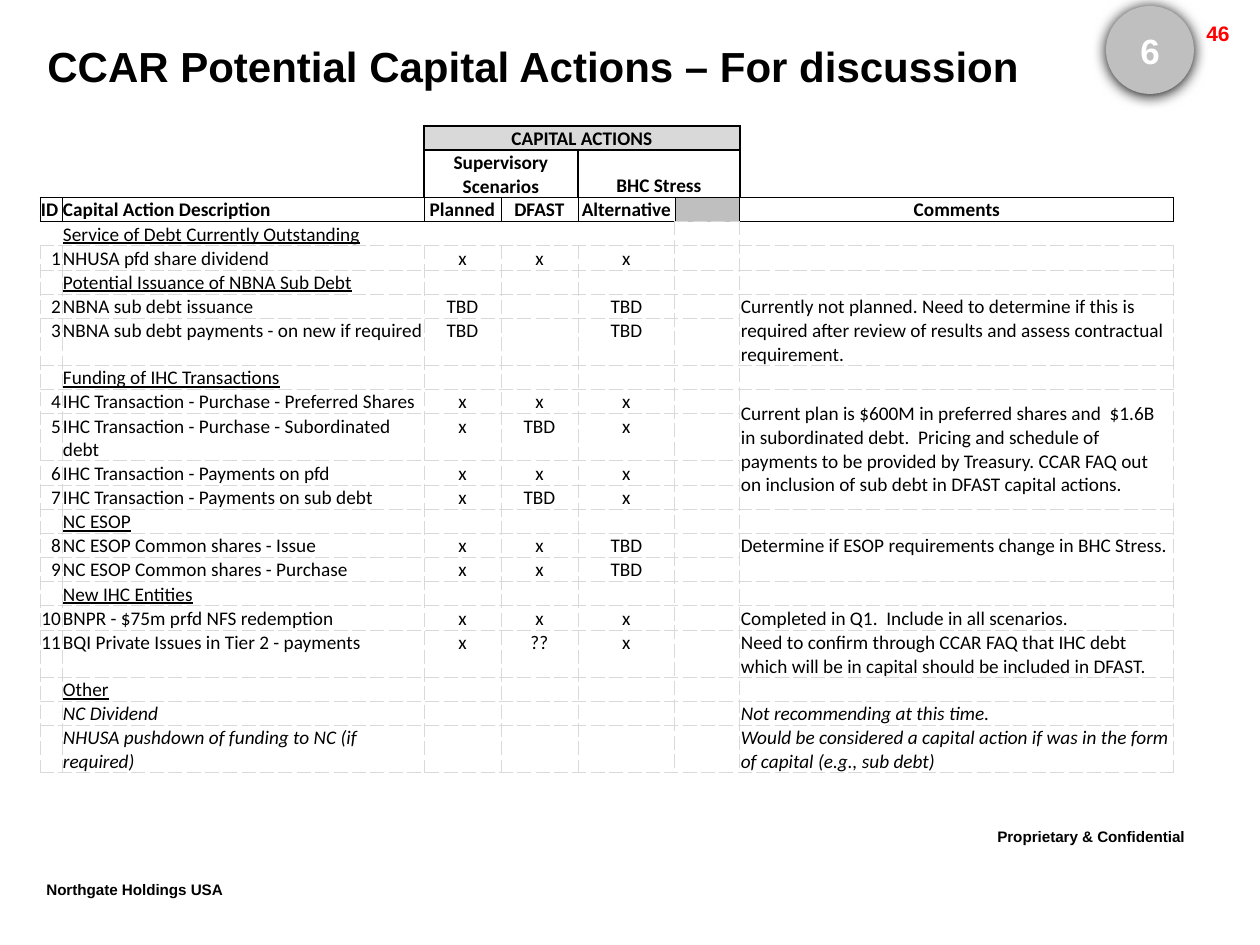
from dataclasses import dataclass

from lxml.etree import SubElement
from pptx import Presentation
from pptx.dml.color import RGBColor
from pptx.enum.shapes import MSO_SHAPE
from pptx.enum.text import MSO_ANCHOR, PP_ALIGN
from pptx.oxml import parse_xml
from pptx.oxml.ns import nsdecls, qn
from pptx.util import Emu, Pt


@dataclass(frozen=True)
class Theme:
    heading_font: str = "Arial"
    table_font: str = "Calibri"
    black: str = "000000"
    white: str = "FFFFFF"
    red: str = "FF0000"
    grey: str = "BFBFBF"
    light_grey: str = "D9D9D9"
    title_size: int = 24
    badge_size: int = 20
    footer_size: int = 15
    page_size: int = 12
    table_size: int = 11


THEME = Theme()
EMU_PER_PX = 914400 / 126

# Border styles: colour, width in points, dash
HEAVY = (THEME.black, 1, "solid")
THIN = (THEME.black, 0.5, "solid")
DASHED = (THEME.light_grey, 0.5, "dash")

NO_STYLE_NO_GRID = "{2D5ABB26-0587-4C30-8999-92F81FD0307C}"
COLUMN_WIDTHS = (22, 362, 77, 77, 97, 65, 434)
ROW_HEIGHT, TALL_ROW_HEIGHT = 24, 47
TALL_ROWS = (1, 7, 10, 18, 21)
FIRST_BODY_ROW = 3
FIRST_ITALIC_ROW = 20
COMMENT_COLUMN = 6
MERGES = ((0, 2, 0, 5), (1, 2, 1, 3), (1, 4, 1, 5),
          (6, 6, 7, 6), (9, 6, 12, 6), (14, 6, 15, 6))
FILLS = {(0, 2): THEME.light_grey, (2, 5): THEME.grey}

HEADER_ROWS = (
    ("", "", "CAPITAL ACTIONS", "", "", "", ""),
    ("", "", "Supervisory Scenarios", "", "BHC Stress", "", ""),
    ("ID", "Capital Action Description", "Planned", "DFAST", "Alternative", "", "Comments"),
)
# Section name, then its actions: description, planned, DFAST, alternative, comment
SECTIONS = (
    ("Service of Debt Currently Outstanding", (
        ("NHUSA pfd share dividend", "x", "x", "x", ""),)),
    ("Potential Issuance of NBNA Sub Debt", (
        ("NBNA sub debt issuance", "TBD", "", "TBD",
         "Currently not planned. Need to determine if this is required after review of "
         "results and assess contractual requirement."),
        ("NBNA sub debt payments - on new if required", "TBD", "", "TBD", ""))),
    ("Funding of IHC Transactions", (
        ("IHC Transaction - Purchase - Preferred Shares", "x", "x", "x",
         "Current plan is $600M in preferred shares and  $1.6B in subordinated debt.  "
         "Pricing and schedule of payments to be provided by Treasury. CCAR FAQ out on "
         "inclusion of sub debt in DFAST capital actions."),
        ("IHC Transaction - Purchase - Subordinated debt", "x", "TBD", "x", ""),
        ("IHC Transaction - Payments on pfd", "x", "x", "x", ""),
        ("IHC Transaction - Payments on sub debt", "x", "TBD", "x", ""))),
    ("NC ESOP", (
        ("NC ESOP Common shares - Issue", "x", "x", "TBD",
         "Determine if ESOP requirements change in BHC Stress."),
        ("NC ESOP Common shares - Purchase", "x", "x", "TBD", ""))),
    ("New IHC Entities", (
        ("BNPR - $75m prfd NFS redemption", "x", "x", "x",
         "Completed in Q1.  Include in all scenarios."),
        ("BQI Private Issues in Tier 2 - payments", "x", "??", "x",
         "Need to confirm through CCAR FAQ that IHC debt which will be in capital should "
         "be included in DFAST."))),
    ("Other", (
        ("NC Dividend", "", "", "", "Not recommending at this time."),
        ("NHUSA pushdown of funding to NC (if required)", "", "", "",
         "Would be considered a capital action if was in the form of capital "
         "(e.g., sub debt)"))),
)


def px(length):
    return Emu(round(length * EMU_PER_PX))


def set_font(paragraph, name, size, color, bold=False):
    font = paragraph.font
    font.name, font.size, font.bold = name, Pt(size), bold
    font.color.rgb = RGBColor.from_string(color)


def add_text(slide, box, text, size, color=THEME.black, align=PP_ALIGN.LEFT,
             anchor=MSO_ANCHOR.TOP, wrap=True):
    shape = slide.shapes.add_textbox(*map(px, box))
    frame = shape.text_frame
    frame.word_wrap, frame.vertical_anchor = wrap, anchor
    paragraph = frame.paragraphs[0]
    paragraph.text, paragraph.alignment = text, align
    set_font(paragraph, THEME.heading_font, size, color, bold=True)
    return paragraph


def add_footer(slide, box, text, wrap=True):
    paragraph = add_text(slide, box, text, THEME.footer_size, wrap=wrap)
    paragraph.runs[0]._r.get_or_add_rPr().set("baseline", "30000")


def add_badge(slide, box, text):
    left, top, width, height = box
    circle = slide.shapes.add_shape(MSO_SHAPE.OVAL, *map(px, box))
    circle.fill.solid()
    circle.fill.fore_color.rgb = RGBColor.from_string(THEME.grey)
    circle.line.fill.background()
    circle._element.spPr.append(parse_xml(
        f'<a:effectLst {nsdecls("a")}><a:outerShdw blurRad="{Pt(8.5)}" dist="{Pt(1)}" '
        f'dir="5400000" algn="t" rotWithShape="0"><a:srgbClr val="{THEME.black}"/>'
        '</a:outerShdw></a:effectLst>'))
    add_text(slide, (left + 19, top + 17, width - 38, height - 33), text, THEME.badge_size,
             THEME.white, PP_ALIGN.CENTER, MSO_ANCHOR.MIDDLE)


def table_rows():
    """Return the header rows, then each section's name and numbered actions."""
    rows = list(HEADER_ROWS)
    number = 0
    for name, actions in SECTIONS:
        rows.append(("", name, "", "", "", "", ""))
        for description, planned, dfast, alternative, comment in actions:
            number += 1
            label = str(number) if planned else ""
            rows.append((label, description, planned, dfast, alternative, "", comment))
    return rows


def horizontal_border(line, column):
    if line < 2:
        return HEAVY if 2 <= column <= 5 else None
    if line == 2 or (line == 3 and column != 5):
        return THIN
    return DASHED


def vertical_border(row, line):
    if row < 2:
        return HEAVY if line in ((2, 6), (2, 4, 6))[row] else None
    if row == 2:
        return THIN
    return DASHED if row > 3 or line in (5, 6) else None


def set_borders(cell, row, column):
    bottom, right = row + cell.span_height, column + cell.span_width
    borders = {"a:lnL": vertical_border(row, column), "a:lnR": vertical_border(row, right),
               "a:lnT": horizontal_border(row, column),
               "a:lnB": horizontal_border(bottom, column)}
    properties = cell._tc.get_or_add_tcPr()
    for position, (tag, border) in enumerate(borders.items()):
        color, width, dash = border or (THEME.white, 0, "solid")
        line = properties.makeelement(qn(tag), {"w": str(Pt(width))})
        if border:
            fill = SubElement(line, qn("a:solidFill"))
            SubElement(fill, qn("a:srgbClr"), val=color)
            SubElement(line, qn("a:prstDash"), val=dash)
        else:
            SubElement(line, qn("a:noFill"))
        properties.insert(position, line)


def format_cell(cell, row, column, text):
    cell.margin_left = cell.margin_top = cell.margin_right = px(1)
    cell.margin_bottom = 0
    if (row, column) in FILLS:
        cell.fill.solid()
        cell.fill.fore_color.rgb = RGBColor.from_string(FILLS[row, column])
    else:
        cell.fill.background()
    if row < 2:
        cell.vertical_anchor = MSO_ANCHOR.BOTTOM
    elif cell.span_height == 4:
        cell.vertical_anchor = MSO_ANCHOR.MIDDLE

    is_header = row < FIRST_BODY_ROW
    paragraph = cell.text_frame.paragraphs[0]
    paragraph.text = text
    if 2 <= column <= 5 or (is_header and column == COMMENT_COLUMN):
        paragraph.alignment = PP_ALIGN.CENTER
    elif column == 0 and not is_header:
        paragraph.alignment = PP_ALIGN.RIGHT
    set_font(paragraph, THEME.table_font, THEME.table_size, THEME.black, bold=is_header)
    paragraph.font.underline = text in dict(SECTIONS)
    paragraph.font.italic = row >= FIRST_ITALIC_ROW
    if not text:
        SubElement(paragraph._p, qn("a:endParaRPr"), sz=str(THEME.table_size * 100))


def add_actions_table(slide, left, top):
    rows = table_rows()
    heights = [TALL_ROW_HEIGHT if row in TALL_ROWS else ROW_HEIGHT for row in range(len(rows))]
    box = (left, top, sum(COLUMN_WIDTHS), sum(heights))
    frame = slide.shapes.add_table(len(rows), len(COLUMN_WIDTHS), *map(px, box))
    table = frame.table
    table.first_row = table.horz_banding = False
    table._tbl.tblPr.find(qn("a:tableStyleId")).text = NO_STYLE_NO_GRID
    for column, width in zip(table.columns, COLUMN_WIDTHS):
        column.width = px(width)
    for row, height in zip(table.rows, heights):
        row.height = px(height)
    for first_row, first_column, last_row, last_column in MERGES:
        table.cell(first_row, first_column).merge(table.cell(last_row, last_column))
    for row, values in enumerate(rows):
        for column, text in enumerate(values):
            cell = table.cell(row, column)
            format_cell(cell, row, column, text)
            if not cell.is_spanned:
                set_borders(cell, row, column)


def main():
    presentation = Presentation()
    presentation.slide_width, presentation.slide_height = px(1260), px(945)
    slide = presentation.slides.add_slide(presentation.slide_layouts[6])
    add_footer(slide, (985, 818, 275, 44), "Proprietary & Confidential")
    add_footer(slide, (34, 871, 241, 44), "Northgate Holdings USA", wrap=False)
    add_text(slide, (1123, 14, 119, 30), "46", THEME.page_size, THEME.red, PP_ALIGN.RIGHT)
    add_text(slide, (35, 34, 1225, 63), "CCAR Potential Capital Actions – For discussion",
             THEME.title_size)
    add_badge(slide, (1106, 6, 88, 88), "6")
    add_actions_table(slide, 40, 126)
    presentation.save("out.pptx")


if __name__ == "__main__":
    main()
